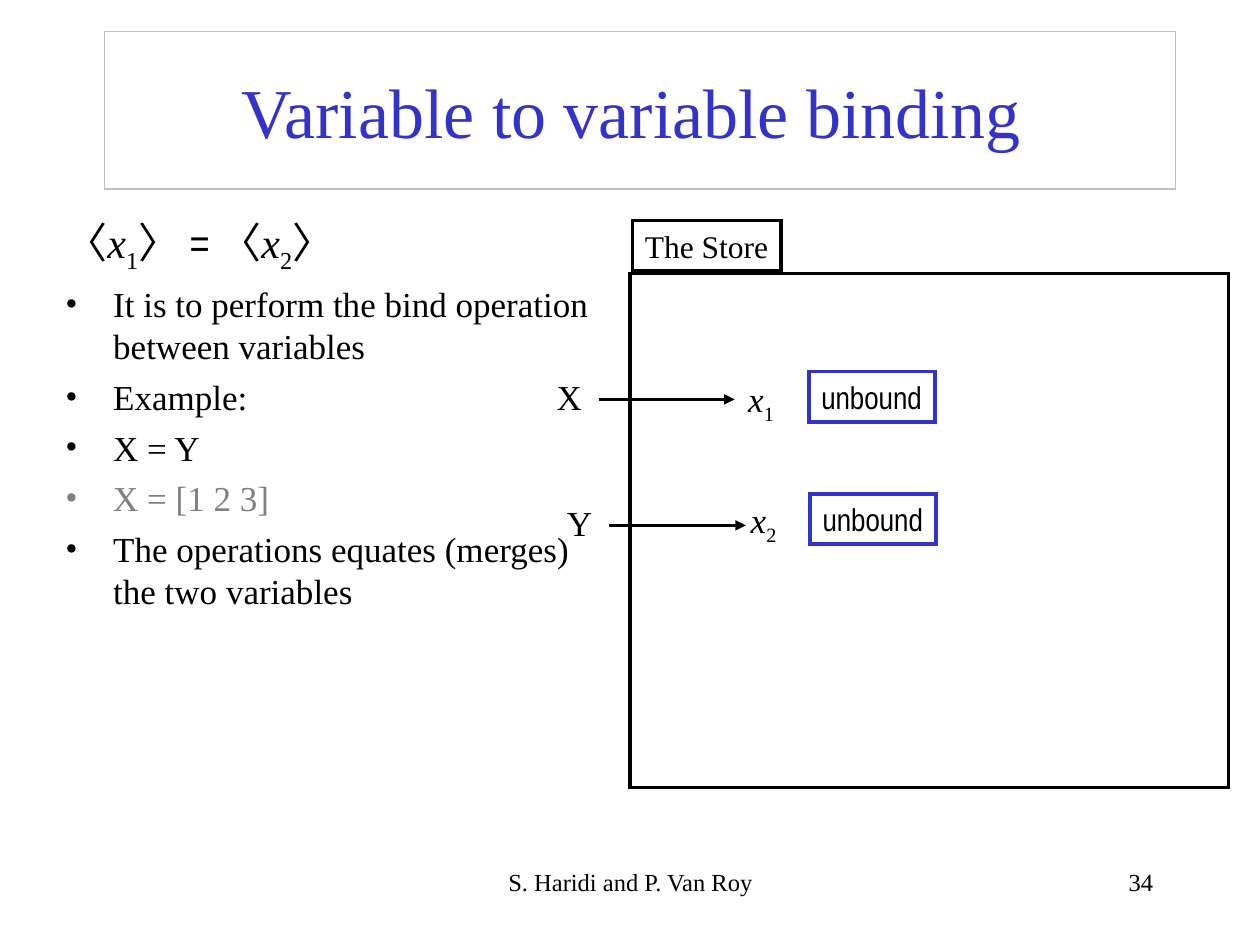
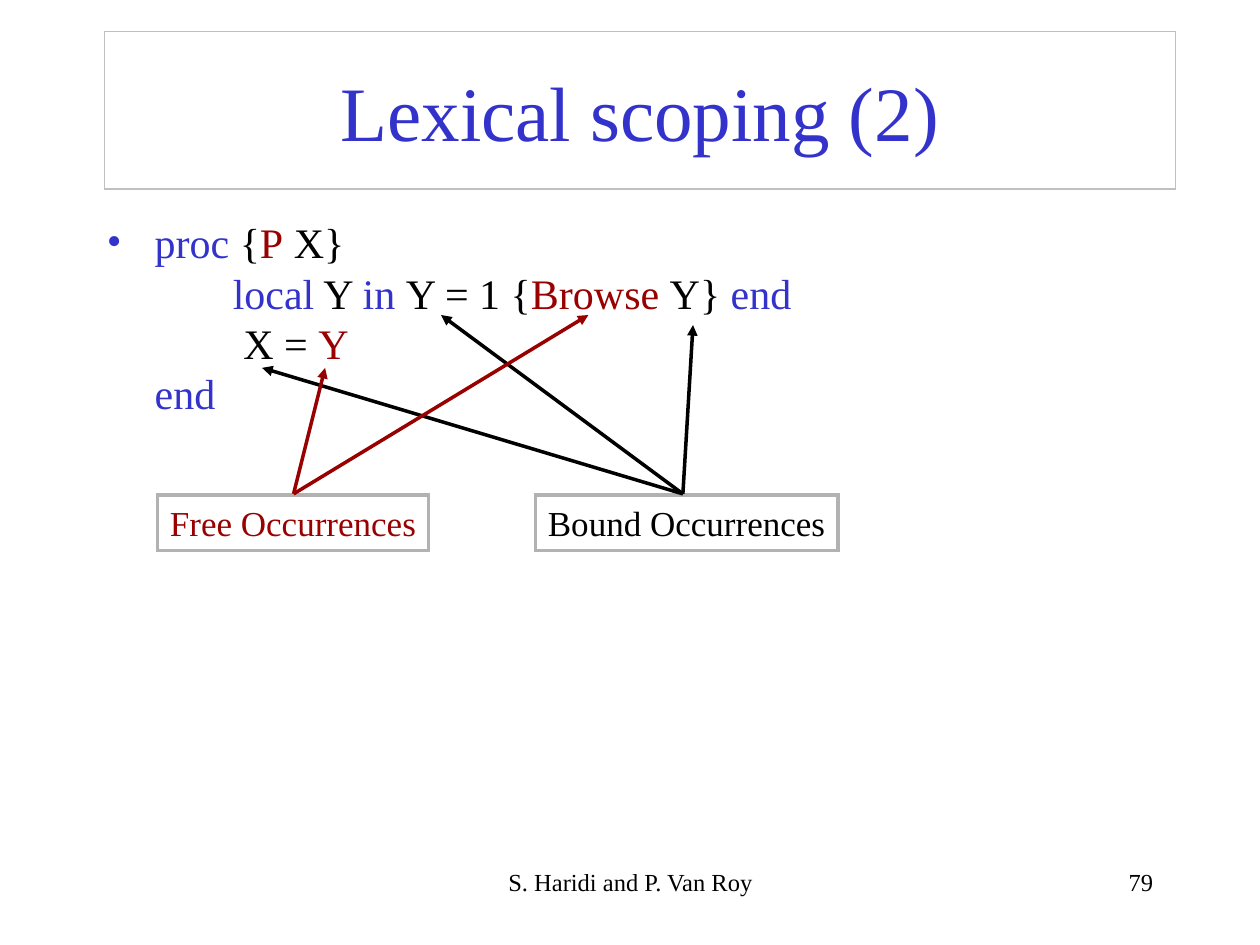
"""Build two lecture slides on variable binding and lexical scoping."""
import dataclasses

import lxml.etree
import pptx
import pptx.dml.color
import pptx.enum.shapes
import pptx.enum.text
import pptx.oxml.ns
import pptx.util

Inches, Pt = pptx.util.Inches, pptx.util.Pt
Align, Anchor = pptx.enum.text.PP_ALIGN, pptx.enum.text.MSO_ANCHOR


@dataclasses.dataclass(frozen=True)
class Theme:
    """Colours, fonts and type sizes shared by the slides."""
    ink: str = "000000"
    blue: str = "3333CC"
    red: str = "990000"
    muted: str = "808080"
    title_edge: str = "C0C0C0"
    label_edge: str = "B2B2B2"
    serif: str = "Times New Roman"
    sans: str = "Arial"
    narrow: str = "Arial Narrow"
    code: int = 24
    body: int = 20
    tag: int = 18
    footer: int = 14
    title_line: float = 0.75
    line: float = 2
    hanging: float = 0.38


THEME = Theme()
FOOTER = "S. Haridi and P. Van Roy"
TITLE_AREA = (0.83, 0.25, 8.5, 1.25)
FOOTER_AREA = (3.42, 6.83, 3.17, 0.5)
NUMBER_AREA = (7.17, 6.83, 2.08, 0.5)

BRACKET = {"font": THEME.sans}
ITALIC = {"italic": True}
SUBSCRIPT = {"subscript": True}
BLUE = {"color": THEME.blue}
RED = {"color": THEME.red}

BINDING = {"title": "Variable to variable binding ", "title_size": 40, "number": "34"}
BINDING_AREA = (0.42, 1.67, 4.58, 5)
BINDING_STATEMENT = [
    ("〈", BRACKET), ("x", ITALIC), ("1", SUBSCRIPT), ("〉", BRACKET),
    (" = ", {"font": THEME.narrow}),
    ("〈", BRACKET), ("x", ITALIC), ("2", SUBSCRIPT), ("〉", BRACKET),
]
BINDING_POINTS = [
    ("It is to perform the bind operation between variables", THEME.ink),
    ("Example:", THEME.ink),
    ("X = Y", THEME.ink),
    ("X = [1 2 3]", THEME.muted),
    ("The operations equates (merges) the two variables", THEME.ink),
]
STORE_AREA = (5, 2.17, 4.75, 4.08)
STORE_TAG_AREA = (5.02, 1.75, 1.18, 0.4)
STORE_ROWS = [
    {"name": "X", "name_at": (4.32, 2.93), "arrow": ((4.75, 3.17), (5.83, 3.17)),
     "index": "1", "variable_at": (5.84, 2.95), "value_at": (6.42, 2.95)},
    {"name": "Y", "name_at": (4.4, 3.93), "arrow": ((4.83, 4.17), (5.92, 4.17)),
     "index": "2", "variable_at": (5.86, 3.91), "value_at": (6.43, 3.92)},
]

SCOPING = {"title": "Lexical scoping (2)", "title_size": 44, "number": "79"}
SCOPING_AREA = (0.75, 1.67, 8.5, 1.75)
SCOPING_CODE = [
    ("proc", BLUE), (" {", {}), ("P", RED), (" X}\n\t", {}),
    ("local", BLUE), (" Y ", {}), ("in ", BLUE), ("Y = 1 {", {}),
    ("Browse ", RED), ("Y} ", {}), ("end\n\t", BLUE),
    (" X = ", {}), ("Y\n", RED), ("end", BLUE),
]
OCCURRENCES = [
    {"label": "Bound Occurrences", "area": (4.25, 3.93, 2.4, 0.44), "color": THEME.ink,
     "start": (5.42, 3.92), "targets": [(2.08, 2.92), (3.5, 2.5), (5.5, 2.58)]},
    {"label": "Free Occurrences", "area": (1.25, 3.93, 2.15, 0.44), "color": THEME.red,
     "start": (2.33, 3.92), "targets": [(2.58, 2.92), (4.67, 2.5)]},
]


def rgb(color):
    """Turn a hex string into a colour."""
    return pptx.dml.color.RGBColor.from_string(color)


def add_element(parent, tag, **attributes):
    """Append a drawing element to a parent."""
    return lxml.etree.SubElement(parent, pptx.oxml.ns.qn(tag), attributes)


def set_line(shape, color, width=THEME.line):
    """Give a shape or connector its line, with sharp corners."""
    shape.line.color.rgb = rgb(color)
    shape.line.width = Pt(width)
    add_element(shape.line._get_or_add_ln(), "a:miter", lim="800000")


def format_span(span, size, font=THEME.serif, color=THEME.ink, italic=False, subscript=False):
    """Set the look of one run."""
    span.font.size = Pt(size)
    span.font.name = font
    span.font.color.rgb = rgb(color)
    span.font.italic = italic
    if subscript:
        span._r.get_or_add_rPr().set("baseline", "-25000")


def write_spans(para, spans, size):
    """Write styled runs, breaking lines at newlines."""
    for text, style in spans:
        for order, part in enumerate(text.split("\n")):
            if order:
                para.add_line_break()
            if part:
                span = para.add_run()
                span.text = part
                format_span(span, size, **style)


def hang(para, bullet_color=None, tab=None):
    """Give a paragraph a hanging indent, with an optional bullet and tab stop."""
    properties = para._p.get_or_add_pPr()
    properties.set("marL", str(Inches(THEME.hanging)))
    properties.set("indent", str(-Inches(THEME.hanging)))
    if bullet_color:
        add_element(add_element(properties, "a:buClr"), "a:srgbClr", val=bullet_color)
        add_element(properties, "a:buFont", typeface=THEME.serif)
        add_element(properties, "a:buChar", char="•")
    if tab:
        stops = add_element(properties, "a:tabLst")
        add_element(stops, "a:tab", pos=str(Inches(tab)), algn="l")


def add_text(page, area, spans, size, align=Align.LEFT):
    """Add a wrapping text box and return its first paragraph and frame."""
    frame = page.shapes.add_textbox(*map(Inches, area)).text_frame
    frame.word_wrap = True
    para = frame.paragraphs[0]
    para.alignment = align
    write_spans(para, spans, size)
    return para, frame


def add_frame(page, area, edge):
    """Add an unfilled outlined rectangle."""
    box = page.shapes.add_shape(pptx.enum.shapes.MSO_SHAPE.RECTANGLE, *map(Inches, area))
    box.shadow.inherit = False
    box.fill.background()
    set_line(box, edge)
    return box


def add_label(page, area, spans, size, edge=None):
    """Add a one-line label with spare room on its right, outlined if an edge is given."""
    if edge:
        box = add_frame(page, area, edge)
    else:
        box = page.shapes.add_textbox(*map(Inches, area))
    frame = box.text_frame
    frame.word_wrap = True
    frame.auto_size = pptx.enum.text.MSO_AUTO_SIZE.NONE
    frame.margin_right = 0
    frame.vertical_anchor = Anchor.TOP
    frame.paragraphs[0].alignment = Align.LEFT
    write_spans(frame.paragraphs[0], spans, size)


def add_arrow(page, start, end, color=THEME.ink):
    """Draw a straight arrow between two points."""
    arrow = page.shapes.add_connector(
        pptx.enum.shapes.MSO_CONNECTOR.STRAIGHT, *map(Inches, start + end))
    set_line(arrow, color)
    add_element(arrow.line._get_or_add_ln(), "a:tailEnd", type="triangle")
    add_element(arrow._element.spPr, "a:effectLst")


def add_page(deck, title, title_size, number):
    """Add a slide with its title, footer and number."""
    page = deck.slides.add_slide(deck.slide_layouts[5])
    box = page.shapes.title
    box.left, box.top, box.width, box.height = map(Inches, TITLE_AREA)
    set_line(box, THEME.title_edge, THEME.title_line)
    frame = box.text_frame
    frame.text = title
    frame.auto_size = pptx.enum.text.MSO_AUTO_SIZE.NONE
    frame.vertical_anchor = Anchor.MIDDLE
    frame.paragraphs[0].alignment = Align.CENTER
    format_span(frame.paragraphs[0].runs[0], title_size, color=THEME.blue)
    add_text(page, FOOTER_AREA, [(FOOTER, {})], THEME.footer, Align.CENTER)
    add_text(page, NUMBER_AREA, [(number, {})], THEME.footer, Align.RIGHT)
    return page


def build_binding(deck):
    """Build the slide on binding variables in the store."""
    page = add_page(deck, **BINDING)
    statement, frame = add_text(page, BINDING_AREA, BINDING_STATEMENT, THEME.code)
    hang(statement)
    for text, color in BINDING_POINTS:
        para = frame.add_paragraph()
        hang(para, color)
        para.space_before = Pt(5)
        write_spans(para, [(text, {"color": color})], THEME.body)
    add_frame(page, STORE_AREA, THEME.ink)
    add_label(page, STORE_TAG_AREA, [("The Store", {})], THEME.tag, THEME.ink)
    for row in STORE_ROWS:
        add_label(page, row["name_at"] + (0.4, 0.44), [(row["name"], {})], THEME.body)
        add_arrow(page, *row["arrow"])
        add_label(page, row["variable_at"] + (0.4, 0.48),
                  [("x", ITALIC), (row["index"], SUBSCRIPT)], THEME.body)
        add_label(page, row["value_at"] + (1, 0.4),
                  [("unbound", {"font": THEME.narrow})], THEME.tag, THEME.blue)


def build_scoping(deck):
    """Build the slide on free and bound occurrences."""
    page = add_page(deck, **SCOPING)
    code, _ = add_text(page, SCOPING_AREA, SCOPING_CODE, THEME.code)
    hang(code, THEME.blue, tab=1)
    for group in OCCURRENCES:
        add_label(page, group["area"], [(group["label"], {"color": group["color"]})],
                  THEME.body, THEME.label_edge)
        for target in group["targets"]:
            add_arrow(page, group["start"], target, group["color"])


def main():
    """Build and save the deck."""
    deck = pptx.Presentation()
    deck.slide_width, deck.slide_height = Inches(10), Inches(7.5)
    build_binding(deck)
    build_scoping(deck)
    deck.save("out.pptx")


if __name__ == "__main__":
    main()
